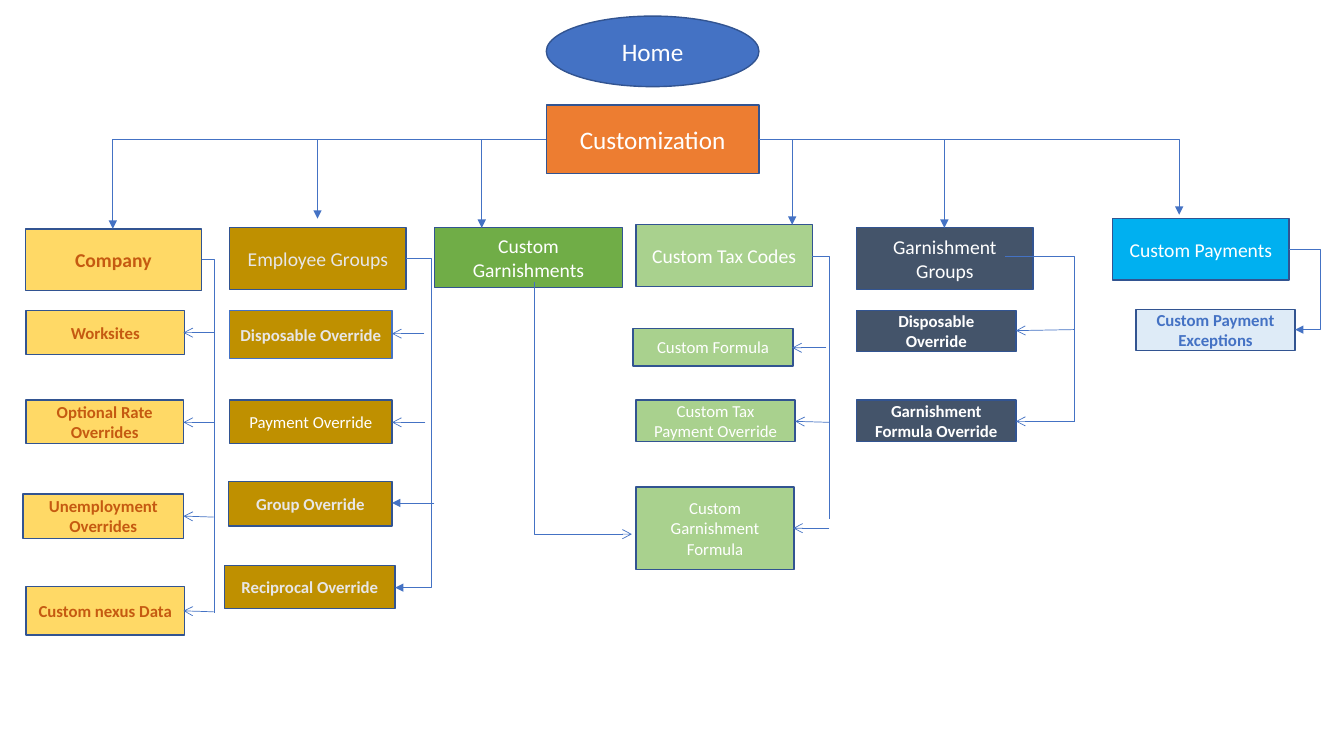
import pptx
import pptx.dml.color
import pptx.enum.shapes
import pptx.enum.text
import pptx.oxml.ns
import pptx.util
from lxml import etree

RGBColor = pptx.dml.color.RGBColor
WHITE = RGBColor(0xFF, 0xFF, 0xFF)
BLUE = RGBColor(0x44, 0x72, 0xC4)
NAVY = RGBColor(0x32, 0x54, 0x91)
ORANGE = RGBColor(0xED, 0x7D, 0x31)
YELLOW = RGBColor(0xFF, 0xD9, 0x66)
RUST = RGBColor(0xC5, 0x5A, 0x11)
GOLD = RGBColor(0xBF, 0x90, 0x00)
GRAY = RGBColor(0xE7, 0xE6, 0xE6)
GREEN = RGBColor(0x70, 0xAD, 0x47)
LIME = RGBColor(0xA9, 0xD1, 0x8E)
SLATE = RGBColor(0x44, 0x54, 0x6A)
SKY = RGBColor(0x00, 0xB0, 0xF0)
PALE = RGBColor(0xDE, 0xEB, 0xF7)

RECT = pptx.enum.shapes.MSO_SHAPE.RECTANGLE
OVAL = pptx.enum.shapes.MSO_SHAPE.OVAL
STRAIGHT = pptx.enum.shapes.MSO_CONNECTOR.STRAIGHT
ELBOW = pptx.enum.shapes.MSO_CONNECTOR.ELBOW
FRAME = {"word_wrap": True, "vertical_anchor": pptx.enum.text.MSO_ANCHOR.MIDDLE}


def cm(inches):
    """Turn a grid position in inches into a length."""
    return pptx.util.Cm(inches * 2.54)


def connect(x1, y1, x2, y2, arrow=None, end="tailEnd", preset="line", bend=None):
    """Draw a thin blue connector, straight or bent, with an optional arrowhead."""
    kind = STRAIGHT if preset == "line" else ELBOW
    c = s.shapes.add_connector(kind, cm(x1), cm(y1), cm(x2), cm(y2))
    c.line.color.rgb = BLUE
    c.line.width = pptx.util.Pt(0.5)
    geom = c._element.spPr.find(pptx.oxml.ns.qn("a:prstGeom"))
    geom.set("prst", preset)
    if bend is not None:
        guides = geom.get_or_add_avLst()
        ratio = round((bend - x1) / (x2 - x1) * 100000)
        etree.SubElement(guides, pptx.oxml.ns.qn("a:gd"), name="adj1", fmla=f"val {ratio}")
    if arrow:
        etree.SubElement(c.line._get_or_add_ln(), pptx.oxml.ns.qn(f"a:{end}"), type=arrow)
    etree.SubElement(c._element.spPr, pptx.oxml.ns.qn("a:effectLst"))


prs = pptx.Presentation()
prs.slide_width, prs.slide_height = pptx.util.Cm(33.87), pptx.util.Cm(19.05)
s = prs.slides.add_slide(prs.slide_layouts[6])

# Boxes by branch: fill, then text, left, top, width, height, size, bold, text colour
branches = [
    (BLUE, [("Home", 5.42, 0.16, 2.11, 0.7, 18, False, WHITE)]),
    (ORANGE, [("Customization", 5.42, 1.04, 2.11, 0.68, 18, False, WHITE)]),
    (YELLOW, [
        ("Company", 0.25, 2.27, 1.75, 0.61, 14, True, RUST),
        ("Worksites", 0.26, 3.08, 1.57, 0.44, 12, True, RUST),
        ("Optional Rate Overrides", 0.26, 3.97, 1.56, 0.43, 12, True, RUST),
        ("Unemployment Overrides", 0.23, 4.9, 1.59, 0.44, 12, True, RUST),
        ("Custom nexus Data", 0.26, 5.82, 1.57, 0.48, 12, True, RUST),
    ]),
    (GOLD, [
        ("Employee Groups", 2.28, 2.26, 1.75, 0.61, 14, False, GRAY),
        ("Disposable Override", 2.28, 3.08, 1.61, 0.48, 12, True, GRAY),
        ("Payment Override", 2.28, 3.97, 1.61, 0.43, 12, False, WHITE),
        ("Group Override", 2.27, 4.78, 1.62, 0.44, 12, True, GRAY),
        ("Reciprocal Override", 2.23, 5.61, 1.69, 0.43, 12, True, GRAY),
    ]),
    (GREEN, [("Custom Garnishments", 4.31, 2.26, 1.87, 0.59, 14, False, WHITE)]),
    (LIME, [
        ("Custom Tax Codes", 6.31, 2.23, 1.75, 0.61, 14, False, WHITE),
        ("Custom Formula", 6.28, 3.26, 1.59, 0.37, 12, False, WHITE),
        ("Custom Tax Payment Override", 6.31, 3.97, 1.58, 0.41, 12, False, WHITE),
        ("Custom Garnishment Formula", 6.31, 4.83, 1.57, 0.82, 12, False, WHITE),
    ]),
    (SLATE, [
        ("Garnishment Groups", 8.5, 2.26, 1.75, 0.61, 14, False, WHITE),
        ("Disposable Override", 8.5, 3.08, 1.58, 0.41, 12, True, WHITE),
        ("Garnishment Formula Override", 8.5, 3.97, 1.58, 0.41, 12, True, WHITE),
    ]),
    (SKY, [("Custom Payments", 11.04, 2.17, 1.75, 0.61, 14, False, WHITE)]),
    (PALE, [("Custom Payment Exceptions", 11.27, 3.07, 1.58, 0.41, 12, True, BLUE)]),
]
for fill, boxes in branches:
    for text, x, y, w, h, size, bold, color in boxes:
        shape = OVAL if text == "Home" else RECT
        sp = s.shapes.add_shape(shape, cm(x), cm(y), cm(w), cm(h))
        sp.shadow.inherit = False
        sp.fill.solid()
        sp.fill.fore_color.rgb = fill
        edge = BLUE if (fill, text) == (GOLD, "Disposable Override") else NAVY
        sp.line.color.rgb = edge
        sp.line.width = pptx.util.Pt(1)
        tf = sp.text_frame
        for name, value in FRAME.items():
            setattr(tf, name, value)
        p = tf.paragraphs[0]
        p.alignment = pptx.enum.text.PP_ALIGN.CENTER
        r = p.add_run()
        r.text = text
        font = {"name": "Calibri", "size": pptx.util.Pt(size), "bold": bold}
        for name, value in font.items():
            setattr(r.font, name, value)
        r.font.color.rgb = color

# Top bus: outer elbows, then drops to the branches between them
BUS = 1.38
for start, x, y in [(5.42, 1.12, 2.27), (7.53, 11.7, 2.13)]:
    connect(start, BUS, x, y, "triangle", preset="bentConnector2")
for x, y in [(3.15, 2.17), (4.78, 2.26), (7.86, 2.23), (9.37, 2.26)]:
    connect(x, BUS, x, y, "triangle")

# Side trunks running down from the branch heads
for trunk in [(2, 2.57, 2.13, 6.08), (8.06, 2.54, 8.23, 5.15), (9.97, 2.54, 10.66, 4.19)]:
    connect(*trunk, preset="bentConnector2")
connect(6.27, 5.3, 5.3, 2.8, "arrow", end="headEnd", preset="bentConnector2")
connect(4.03, 2.56, 3.92, 5.83, "triangle", preset="bentConnector3", bend=4.28)
connect(12.79, 2.47, 12.85, 3.27, "triangle", preset="bentConnector3", bend=13.1)

# Arrows from the trunks to the boxes: start x, start y, end x, end y
twigs = [
    (2.12, 3.3, 1.82, 3.3), (2.12, 4.19, 1.82, 4.19),
    (2.12, 5.13, 1.82, 5.12), (2.12, 6.07, 1.82, 6.06),
    (4.21, 3.31, 3.89, 3.31), (4.22, 4.19, 3.89, 4.19),
    (8.2, 3.45, 7.86, 3.45), (8.23, 4.19, 7.89, 4.18), (8.23, 5.24, 7.87, 5.24),
    (10.66, 3.27, 10.08, 3.28), (10.66, 4.18, 10.08, 4.18),
]
for twig in twigs:
    connect(*twig, "arrow")
connect(4.31, 4.99, 3.89, 4.99, "triangle")

prs.save("out.pptx")
